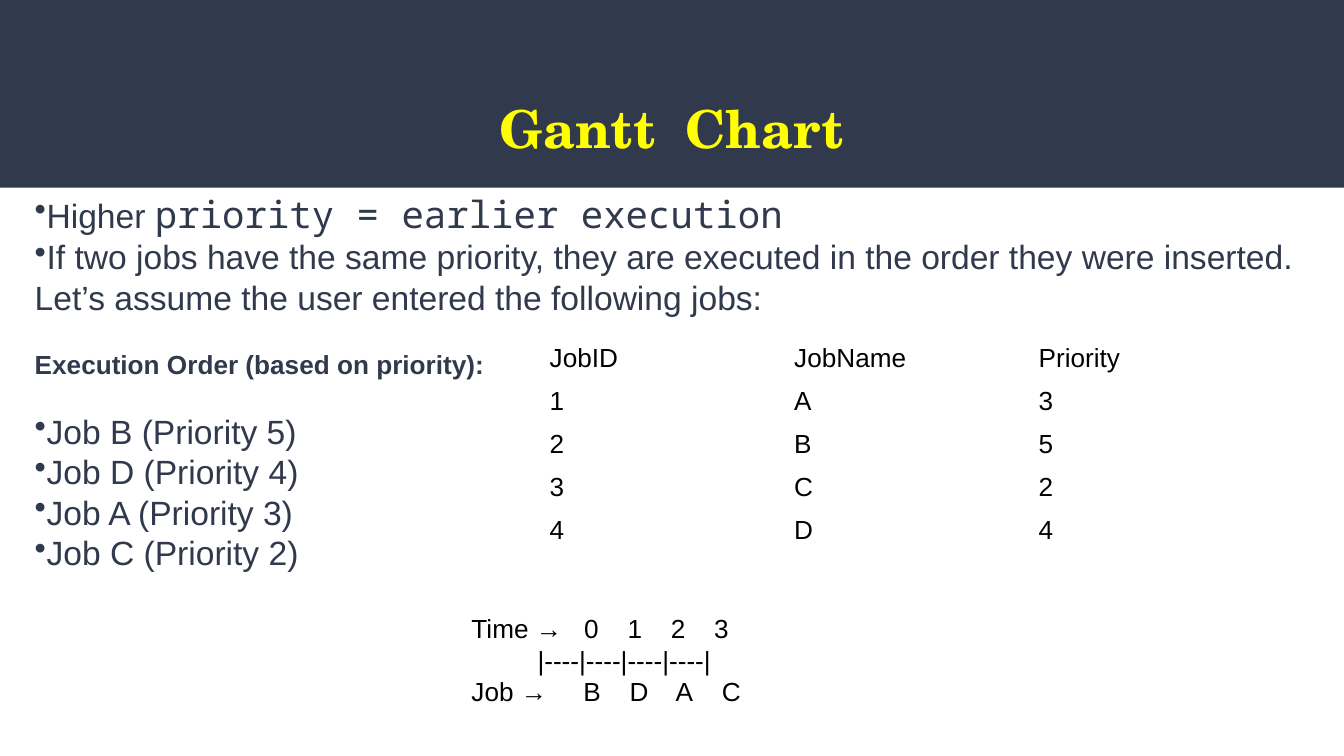
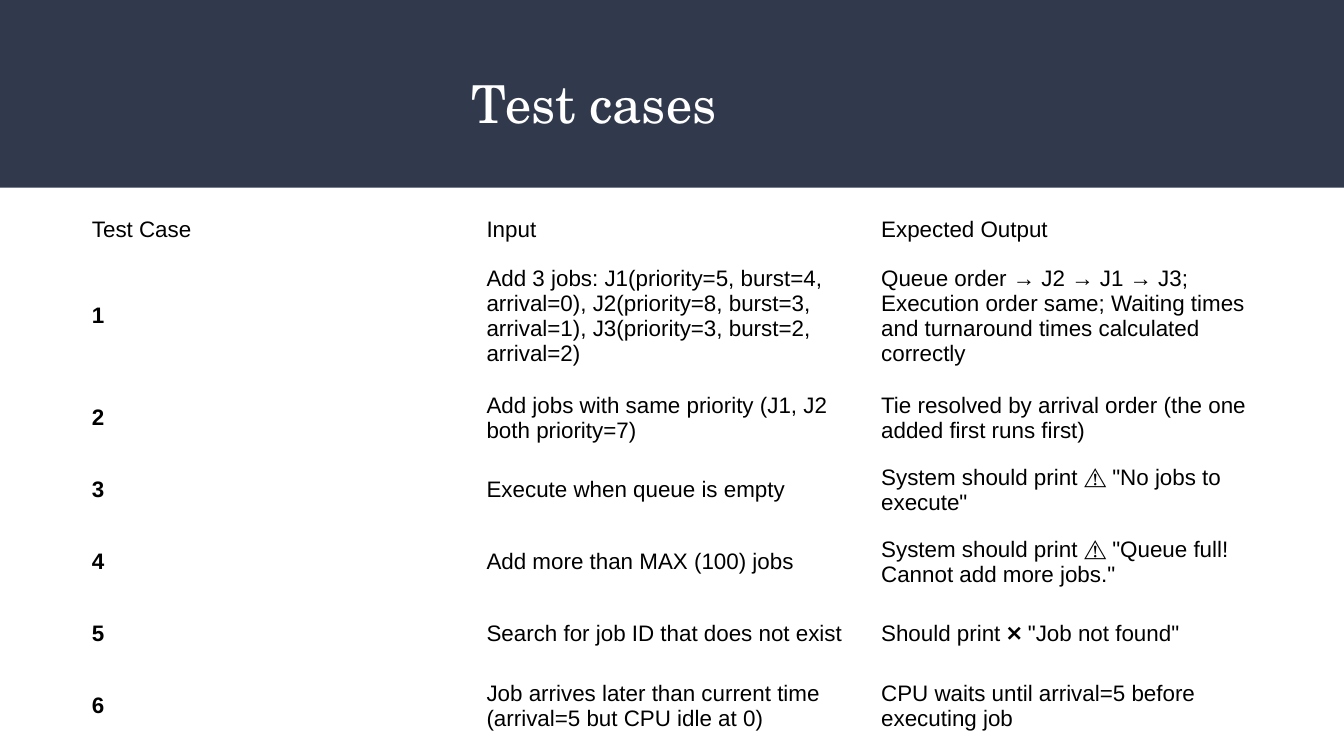
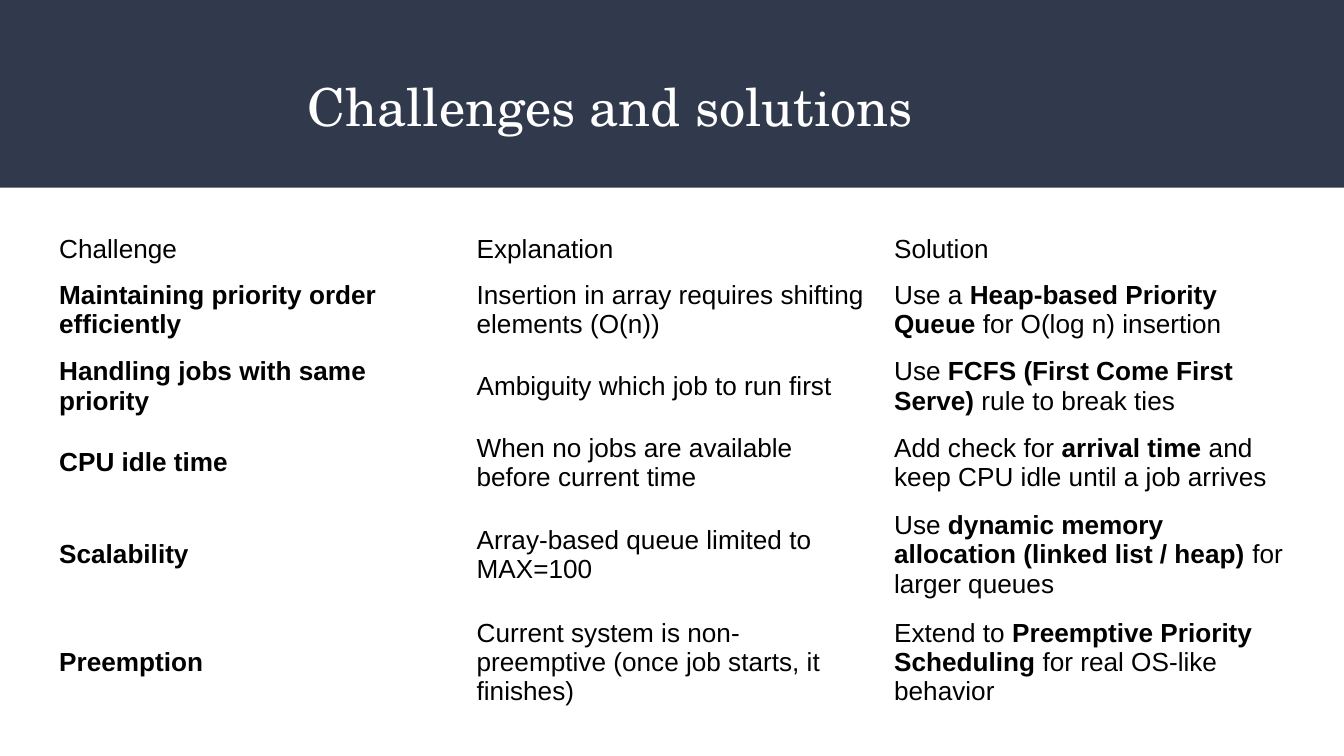
from lxml import etree
from pptx import Presentation
from pptx.dml.color import RGBColor
from pptx.enum.shapes import MSO_SHAPE
from pptx.enum.text import MSO_ANCHOR, MSO_AUTO_SIZE, PP_ALIGN
from pptx.oxml.ns import qn
from pptx.util import Pt

NAVY = RGBColor(0x31, 0x39, 0x4D)
YELLOW = RGBColor(0xFF, 0xFF, 0x00)
WHITE = RGBColor(0xFF, 0xFF, 0xFF)
BLACK = RGBColor(0x00, 0x00, 0x00)
SANS, MONO, SERIF = "Arial", "Noto Sans Mono", "TeX Gyre Schola"

# Content: text between asterisks is bold
JOBS = [
    ("JobID", "JobName", "Priority"),
    ("1", "A", "3"),
    ("2", "B", "5"),
    ("3", "C", "2"),
    ("4", "D", "4"),
]

TEST_CASES = [
    ("Test Case", "Input", "Expected Output"),
    ("*1*",
     "Add 3 jobs: J1(priority=5, burst=4, arrival=0), J2(priority=8, burst=3, "
     "arrival=1), J3(priority=3, burst=2, arrival=2)",
     "Queue order → J2 → J1 → J3; Execution order same; Waiting times and "
     "turnaround times calculated correctly"),
    ("*2*", "Add jobs with same priority (J1, J2 both priority=7)",
     "Tie resolved by arrival order (the one added first runs first)"),
    ("*3*", "Execute when queue is empty",
     'System should print ⚠ "No jobs to execute"'),
    ("*4*", "Add more than MAX (100) jobs",
     'System should print ⚠ "Queue full! Cannot add more jobs."'),
    ("*5*", "Search for job ID that does not exist",
     'Should print ❌ "Job not found"'),
    ("*6*", "Job arrives later than current time (arrival=5 but CPU idle at 0)",
     "CPU waits until arrival=5 before executing job"),
]

CHALLENGES = [
    ("Challenge", "Explanation", "Solution"),
    ("*Maintaining priority order efficiently*",
     "Insertion in array requires shifting elements (O(n))",
     "Use a *Heap-based Priority Queue* for O(log n) insertion"),
    ("*Handling jobs with same priority*",
     "Ambiguity which job to run first",
     "Use *FCFS (First Come First Serve)* rule to break ties"),
    ("*CPU idle time*",
     "When no jobs are available before current time",
     "Add check for *arrival time* and keep CPU idle until a job arrives"),
    ("*Scalability*",
     "Array-based queue limited to MAX=100",
     "Use *dynamic memory allocation (linked list / heap)* for larger queues"),
    ("*Preemption*",
     "Current system is non-preemptive (once job starts, it finishes)",
     "Extend to *Preemptive Priority Scheduling* for real OS-like behavior"),
]

# Slides: title box and text format, then table place, row heights, text size
SLIDES = [
    dict(title="Gantt  Chart", box=(24.5, 39.6, 671, 49),
         font=dict(color=YELLOW, bold=True),
         para=dict(alignment=PP_ALIGN.CENTER, line_spacing=1.15),
         rows=JOBS, at=(287.3, 180.7), width=393, heights=[23] * 5,
         size=14, inset=(7.2, 3.6)),
    dict(title="Test cases", box=(245.5, 31, 353, 54),
         font=dict(color=WHITE, bold=False), para=dict(alignment=PP_ALIGN.LEFT),
         rows=TEST_CASES, at=(42.5, 111.6), width=634.3,
         heights=[22.5, 70.6] + [38.6] * 5, size=12, inset=(6.75, 3)),
    dict(title="Challenges and solutions", box=(157.7, 32.4, 405, 45),
         font=dict(color=WHITE, bold=False), para=dict(alignment=PP_ALIGN.LEFT),
         rows=CHALLENGES, at=(24.5, 121.7), width=671,
         heights=[23.8] + [41] * 3 + [57.6] * 2, size=14, inset=(7.2, 3.6)),
]

# Rules and order: (runs of (text, font), bullet, space before)
BODY = dict(size=18, color=NAVY)
RULES = [
    ([("Higher ", BODY),
      ("priority = earlier execution", dict(BODY, size=20, name=MONO))], True, 0),
    ([("If two jobs have the same priority, they are executed in the order "
       "they were inserted.", BODY)], True, 0),
    ([("Let’s assume the user entered the following jobs:", BODY)], False, 0),
    ([("Execution Order (based on priority):",
       dict(BODY, size=14, bold=True))], False, 11.8),
]
ORDER = ["Job B (Priority 5)", "Job D (Priority 4)",
         "Job A (Priority 3)", "Job C (Priority 2)"]
RULES += [([(job, BODY)], True, 0 if i else 16.6) for i, job in enumerate(ORDER)]

# Timeline: (tab-separated parts, first tab stop, step)
TIMELINE = [
    (["Time →", "0", "1", "2", "3"], 60.4, 23.2),
    (["", "|----|----|----|----|"], 35.4, 0),
    (["Job →", "B", "D", "A", "C"], 60, 24.7),
]


def add_run(p, text, size, color=BLACK, bold=False, name=SANS):
    r = p.add_run()
    r.text = text
    for key, value in dict(size=Pt(size), bold=bold, name=name).items():
        setattr(r.font, key, value)
    r.font.color.rgb = color


def next_paragraph(tf, i):
    return tf.add_paragraph() if i else tf.paragraphs[0]


def set_frame(tf, **format_values):
    values = dict(word_wrap=True, auto_size=MSO_AUTO_SIZE.NONE,
                  vertical_anchor=MSO_ANCHOR.TOP)
    for key, value in {**values, **format_values}.items():
        setattr(tf, key, value)


def add_text_box(s, *box, **format_values):
    tf = s.shapes.add_textbox(*map(Pt, box)).text_frame
    set_frame(tf, **format_values)
    return tf


def add_title(s, text, box, font, para):
    sp = s.shapes.title
    for key, value in zip(("left", "top", "width", "height"), box):
        setattr(sp, key, Pt(value))
    tf = sp.text_frame
    sides = ("left", "top", "right", "bottom")
    set_frame(tf, **{f"margin_{side}": Pt(7.2) for side in sides})
    p = tf.paragraphs[0]
    for key, value in para.items():
        setattr(p, key, value)
    add_run(p, text, 28, name=SERIF, **font)


def add_grid(s, rows, at, width, heights, size, inset):
    n = len(rows[0])
    frame = s.shapes.add_table(len(rows), n, *map(Pt, (*at, width, sum(heights))))
    table = frame.table
    table.first_row = table.horz_banding = False
    dx, dy = map(Pt, inset)
    for col in table.columns:
        col.width = Pt(width / n)
    for row, height, texts in zip(table.rows, heights, rows):
        row.height = Pt(height)
        for cell, text in zip(row.cells, texts):
            cell.fill.background()
            cell.vertical_anchor = MSO_ANCHOR.MIDDLE
            cell.margin_left = cell.margin_right = dx
            cell.margin_top = cell.margin_bottom = dy
            p = cell.text_frame.paragraphs[0]
            for i, part in enumerate(text.split("*")):
                if part:
                    add_run(p, part, size, bold=i % 2 == 1)


def add_rules(s):
    tf = add_text_box(s, 11.5, 75.6, 696.5, 265.7, margin_top=Pt(29))
    for i, (runs, bullet, before) in enumerate(RULES):
        p = next_paragraph(tf, i)
        p.line_spacing, p.space_before = Pt(21.7), Pt(before)
        if bullet:
            etree.SubElement(p._p.get_or_add_pPr(), qn("a:buChar"), char="•")
        for text, font in runs:
            add_run(p, text, **font)


def add_timeline(s):
    tf = add_text_box(s, 245.5, 324.7, 174, 75)
    for i, (parts, first, step) in enumerate(TIMELINE):
        p = next_paragraph(tf, i)
        tabs = etree.SubElement(p._p.get_or_add_pPr(), qn("a:tabLst"))
        for k in range(len(parts) - 1):
            etree.SubElement(tabs, qn("a:tab"), pos=str(Pt(first + k * step)), algn="l")
        add_run(p, "\t".join(parts), 14)


def add_band(s, layout):
    """Draw the header band and move it to the back of the shared layout."""
    sp = s.shapes.add_shape(MSO_SHAPE.RECTANGLE, 0, 0, Pt(720), Pt(100.6))
    sp.shadow.inherit = False
    sp.fill.solid()
    sp.fill.fore_color.rgb = NAVY
    sp.line.fill.background()
    layout.shapes._spTree.insert(2, sp._element)


def main():
    prs = Presentation()
    prs.slide_width, prs.slide_height = Pt(720), Pt(405)
    layout = prs.slide_layouts[5]
    for d in SLIDES:
        s = prs.slides.add_slide(layout)
        add_title(s, d["title"], d["box"], d["font"], d["para"])
        add_grid(s, *(d[k] for k in ("rows", "at", "width", "heights", "size", "inset")))
    gantt = prs.slides[0]
    add_band(gantt, layout)
    add_rules(gantt)
    add_timeline(gantt)
    prs.save("out.pptx")


if __name__ == "__main__":
    main()
